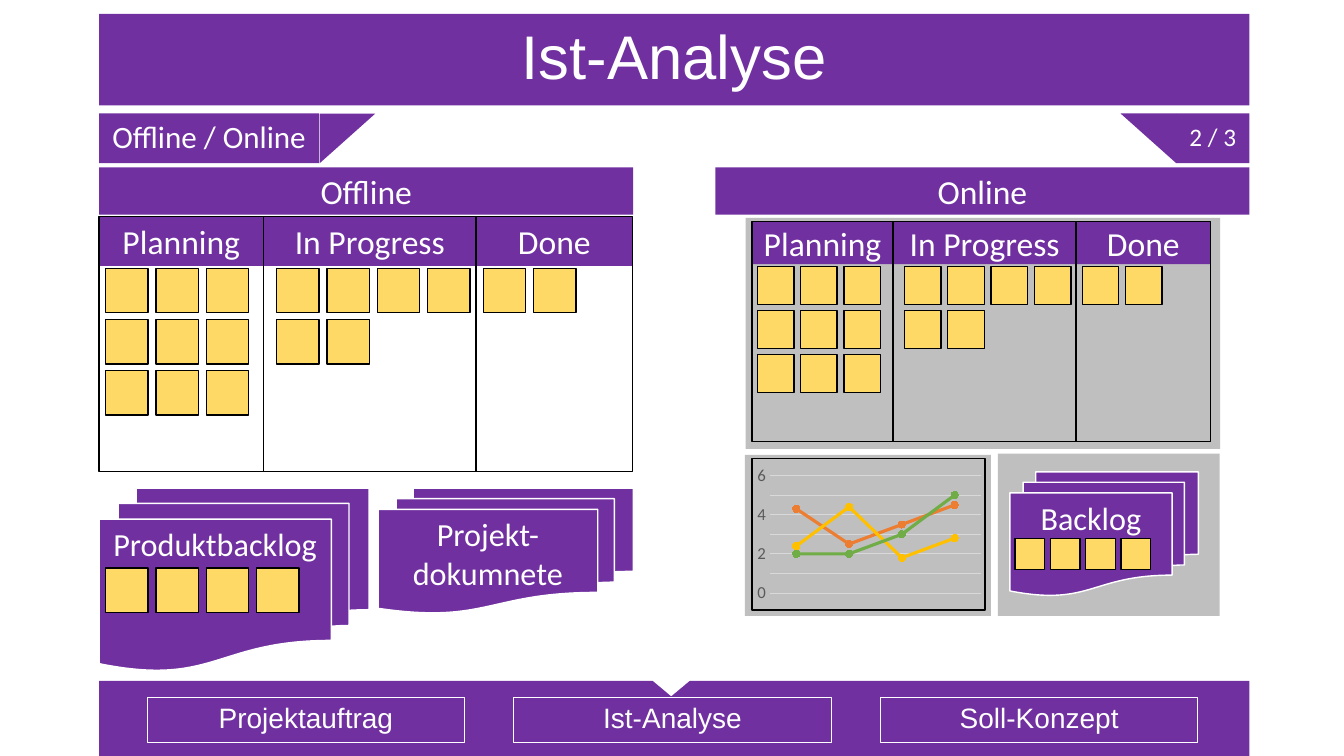
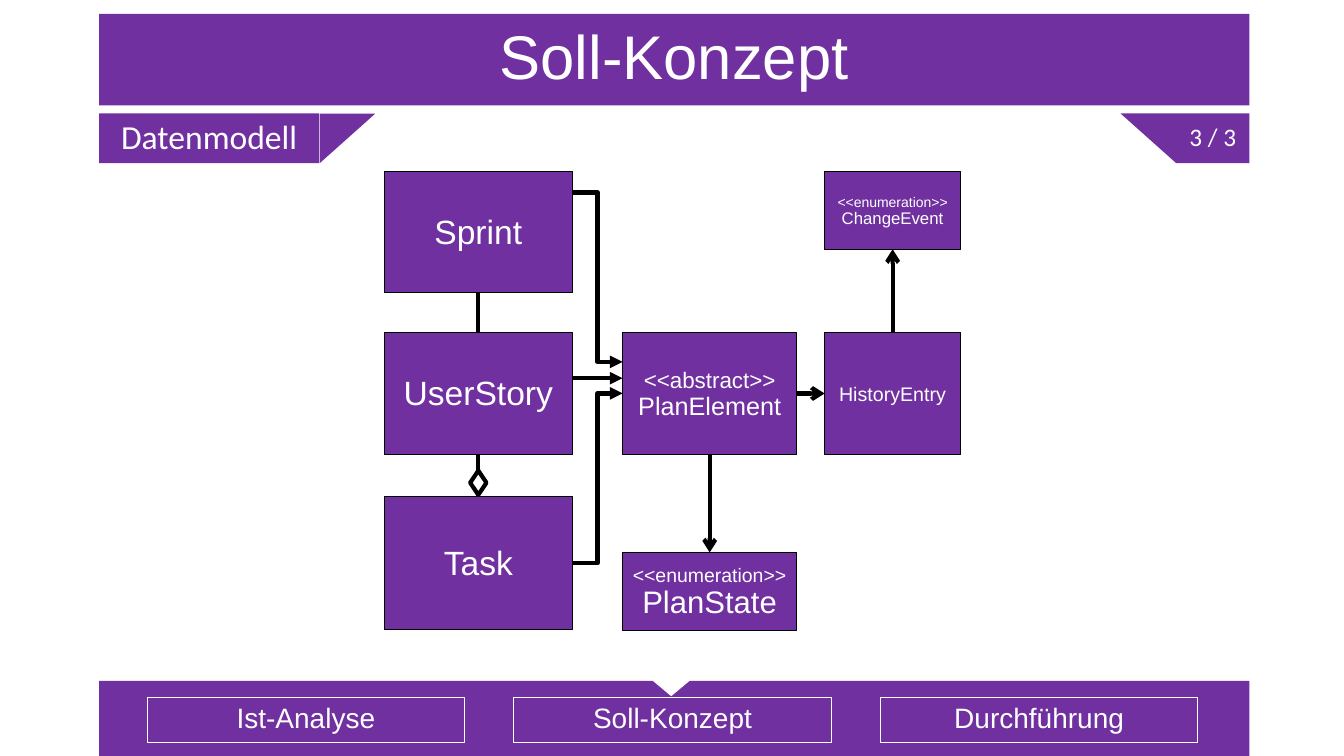
from lxml.etree import SubElement
from pptx import Presentation
from pptx.chart.data import CategoryChartData
from pptx.dml.color import RGBColor
from pptx.enum.chart import XL_CHART_TYPE, XL_MARKER_STYLE, XL_TICK_MARK
from pptx.enum.shapes import MSO_CONNECTOR, MSO_SHAPE
from pptx.enum.text import MSO_ANCHOR, PP_ALIGN
from pptx.oxml.ns import qn
from pptx.util import Cm, Pt

PURPLE = RGBColor(0x70, 0x30, 0xA0)
WHITE = RGBColor(0xFF, 0xFF, 0xFF)
BLACK = RGBColor(0x00, 0x00, 0x00)
GREY = RGBColor(0xBF, 0xBF, 0xBF)
YELLOW = RGBColor(0xFF, 0xD9, 0x66)
AXIS_TEXT = RGBColor(0x59, 0x59, 0x59)
GRID = RGBColor(0xD9, 0xD9, 0xD9)
ORANGE = RGBColor(0xED, 0x7D, 0x31)
GOLD = RGBColor(0xFF, 0xC0, 0x00)
GREEN = RGBColor(0x70, 0xAD, 0x47)

RECT = MSO_SHAPE.RECTANGLE
DOCS = MSO_SHAPE.FLOWCHART_MULTIDOCUMENT


def add_box(s, kind, x, y, w, h, fill=None, line=None, width=1):
    """Add a preset shape; lengths in centimetres."""
    sp = s.shapes.add_shape(kind, Cm(x), Cm(y), Cm(w), Cm(h))
    sp.shadow.inherit = False
    if fill is None:
        sp.fill.background()
    else:
        sp.fill.solid()
        sp.fill.fore_color.rgb = fill
    if line is None:
        sp.line.fill.background()
    else:
        sp.line.color.rgb = line
        sp.line.width = Pt(width)
    return sp


def set_text(sp, text, sizes, font="Calibri", spacing=1.0, anchor=MSO_ANCHOR.MIDDLE, top=0.13):
    """Write centred white text, one size per paragraph."""
    tf = sp.text_frame
    tf.word_wrap = True
    tf.vertical_anchor = anchor
    tf.margin_left = tf.margin_right = Cm(0.1)
    tf.margin_top, tf.margin_bottom = Cm(top), Cm(0.13)
    tf.text = text
    for p, size in zip(tf.paragraphs, sizes):
        p.alignment = PP_ALIGN.CENTER
        p.line_spacing = spacing
        p.font.name = font
        p.font.size = Pt(size)
        p.font.color.rgb = WHITE


prs = Presentation()
prs.slide_width, prs.slide_height = Cm(33.87), Cm(19.05)

# Frame of every slide: title, topic, page number, navigation
FRAMES = [
    ("Ist-Analyse", "Offline / Online", 22.2, "2 / 3",
     ("Projektauftrag", "Ist-Analyse", "Soll-Konzept")),
    ("Soll-Konzept", "Datenmodell", 24, "3 / 3",
     ("Ist-Analyse", "Soll-Konzept", "Durchführung")),
]
slides = []
for title, topic, topic_size, page, steps in FRAMES:
    s = prs.slides.add_slide(prs.slide_layouts[6])
    slides.append(s)
    sp = add_box(s, RECT, 2.5, 0.35, 28.99, 2.31, PURPLE)
    set_text(sp, title, [44], "Arial", 0.9)

    sp = add_box(s, RECT, 2.5, 2.86, 5.54, 1.25, PURPLE)
    set_text(sp, topic, [topic_size], spacing=0.9)
    sp = add_box(s, MSO_SHAPE.RIGHT_TRIANGLE, 8.13, 2.79, 1.25, 1.4, PURPLE)
    sp.rotation = 90
    sp = add_box(s, RECT, 29.64, 2.86, 1.85, 1.25, PURPLE)
    set_text(sp, page, [18], spacing=0.9)
    sp = add_box(s, MSO_SHAPE.RIGHT_TRIANGLE, 28.24, 2.86, 1.4, 1.25, PURPLE)
    sp.rotation = 180

    add_box(s, RECT, 2.5, 17.16, 28.99, 1.89, PURPLE)
    sp = add_box(s, MSO_SHAPE.ISOSCELES_TRIANGLE, 16.46, 17.14, 0.91, 0.38, WHITE, WHITE)
    sp.rotation = 180
    for i, step in enumerate(steps):
        sp = add_box(s, RECT, 3.71 + i * 9.24, 17.58, 8, 1.12, None, WHITE, 0.75)
        set_text(sp, step, [20], "Arial", 0.9)

# Slide 1: offline and online boards
s = slides[0]
for name, x in (("Offline", 2.5), ("Online", 18.03)):
    sp = add_box(s, RECT, x, 4.22, 13.46, 1.19, PURPLE)
    set_text(sp, name, [24])

for panel in ((18.79, 5.49, 11.96, 5.82), (18.77, 11.46, 6.2, 4.06), (25.15, 11.43, 5.59, 4.09)):
    add_box(s, RECT, *panel, GREY)

BOARD_W, BOARD_H, HEAD_H = 13.44, 6.43, 1.24
NOTE_W, NOTE_H, NOTE_DX, NOTE_DY = 1.07, 1.12, 1.27, 1.29
# Column name, left edge, left edge of the notes, notes in each row
COLUMNS = [
    ("Planning", 0, 0.16, (3, 3, 3)),
    ("In Progress", 4.14, 4.47, (4, 2)),
    ("Done", 9.5, 9.68, (2,)),
]
edges = [column[1] for column in COLUMNS] + [BOARD_W]
for left, top, k in ((2.5, 5.46, 1), (18.95, 5.59, 0.86)):
    for (name, x, _, _), end in zip(COLUMNS, edges[1:]):
        sp = add_box(s, RECT, left + x * k, top, (end - x) * k, HEAD_H * k, PURPLE)
        set_text(sp, name, [24])
        add_box(s, RECT, left + x * k, top, (end - x) * k, BOARD_H * k, None, BLACK)
    for _, _, x, rows in COLUMNS:
        for row, count in enumerate(rows):
            for i in range(count):
                add_box(s, RECT, left + (x + i * NOTE_DX) * k, top + (1.3 + row * NOTE_DY) * k,
                        NOTE_W * k, NOTE_H * k, YELLOW, BLACK)

# Document stacks
for text, x, y, w, h in (
    ("Produktbacklog", 2.5, 12.3, 6.8, 4.6),
    ("Projekt-dokumnete", 9.53, 12.3, 6.43, 3.15),
    ("Backlog", 25.45, 11.89, 4.75, 3.12),
):
    sp = add_box(s, DOCS, x, y, w, h, PURPLE, WHITE)
    set_text(sp, text, [23], anchor=MSO_ANCHOR.TOP)
for x, y, k in ((2.66, 14.31, 1), (25.58, 13.57, 0.7)):
    for i in range(4):
        add_box(s, RECT, x + i * NOTE_DX * k, y, NOTE_W * k, NOTE_H * k, YELLOW, BLACK)

# Line chart
add_box(s, RECT, 18.95, 11.56, 5.87, 3.81, None, BLACK)
SERIES = [
    ("Series 1", (4.3, 2.5, 3.5, 4.5), ORANGE),
    ("Series 2", (2.4, 4.4, 1.8, 2.8), GOLD),
    ("Series 3", (2, 2, 3, 5), GREEN),
]
data = CategoryChartData()
data.categories = ["1", "2", "3", "4"]
for name, values, _ in SERIES:
    data.add_series(name, values)
chart = s.shapes.add_chart(XL_CHART_TYPE.LINE_MARKERS, Cm(18.97), Cm(11.66),
                           Cm(5.87), Cm(3.61), data).chart
chart.has_title = chart.has_legend = False
chart.font.name, chart.font.size = "Calibri", Pt(10)
chart.category_axis.visible = False
axis = chart.value_axis
axis.minimum_scale, axis.maximum_scale, axis.major_unit = 0, 6, 1
axis.major_tick_mark = axis.minor_tick_mark = XL_TICK_MARK.NONE
axis.format.line.fill.background()
axis.major_gridlines.format.line.color.rgb = GRID
axis.major_gridlines.format.line.width = Pt(0.75)
font = axis.tick_labels.font
font.name, font.size, font.color.rgb = "Calibri", Pt(12), AXIS_TEXT
chart.plots[0].vary_by_categories = False
for series, (_, _, color) in zip(chart.plots[0].series, SERIES):
    series.smooth = False
    series.format.line.color.rgb = color
    series.format.line.width = Pt(2.25)
    series.marker.style = XL_MARKER_STYLE.CIRCLE
    series.marker.size = 5
    series.marker.format.fill.solid()
    series.marker.format.fill.fore_color.rgb = color
    series.marker.format.line.color.rgb = color

# Slide 2: classes of the data model
s = slides[1]
COL_1, COL_2, COL_3 = (9.68, 4.75), (15.69, 4.39), (20.78, 3.43)
CLASSES = [
    ("Sprint", COL_1, 4.32, 3.05, "", (24,)),
    ("UserStory", COL_1, 8.38, 3.07, "", (24,)),
    ("Task", COL_1, 12.52, 3.35, "", (24,)),
    ("PlanElement", COL_2, 8.38, 3.07, "<<abstract>>\n", (16, 18)),
    ("PlanState", COL_2, 13.92, 1.96, "<<enumeration>>\n", (13.9, 22.2)),
    ("ChangeEvent", COL_3, 4.32, 1.96, "<<enumeration>>\n", (10, 12)),
    ("HistoryEntry", COL_3, 8.38, 3.07, "", (14,)),
]
boxes = {}
for name, (x, w), y, h, stereotype, sizes in CLASSES:
    sp = add_box(s, RECT, x, y, w, h, PURPLE, BLACK, 0.75)
    set_text(sp, stereotype + name, sizes, "Arial", 0.9, top=0.2)
    boxes[name] = sp

# Relations: kind, start, end, arrowhead; ends are (class, side) or a point in cm
TOP, LEFT, BOTTOM, RIGHT = range(4)
STRAIGHT, ELBOW = MSO_CONNECTOR.STRAIGHT, MSO_CONNECTOR.ELBOW
RELATIONS = [
    (STRAIGHT, ("Sprint", BOTTOM), ("UserStory", TOP), None),
    (STRAIGHT, ("UserStory", BOTTOM), ("Task", TOP), None),
    (STRAIGHT, ("PlanElement", BOTTOM), ("PlanState", TOP), "arrow"),
    (STRAIGHT, ("PlanElement", RIGHT), ("HistoryEntry", LEFT), "arrow"),
    (STRAIGHT, ("HistoryEntry", TOP), ("ChangeEvent", BOTTOM), "arrow"),
    (ELBOW, ("Task", RIGHT), ("PlanElement", LEFT), "triangle"),
    (STRAIGHT, (14.43, 9.53), (15.69, 9.53), "triangle"),
    (ELBOW, (14.43, 4.85), (15.69, 9.12), "triangle"),
]
for kind, start, end, head in RELATIONS:
    if start[0] in boxes:
        line = s.shapes.add_connector(kind, 0, 0, 0, 0)
        line.begin_connect(boxes[start[0]], start[1])
        line.end_connect(boxes[end[0]], end[1])
    else:
        line = s.shapes.add_connector(kind, *(Cm(v) for v in start + end))
    line.line.color.rgb = BLACK
    line.line.width = Pt(3)
    if head:
        SubElement(line.line._get_or_add_ln(), qn("a:tailEnd"), type=head)
    SubElement(line._element.spPr, qn("a:effectLst"))
add_box(s, MSO_SHAPE.DIAMOND, 11.85, 11.86, 0.41, 0.61, WHITE, BLACK, 3)

prs.save("out.pptx")
